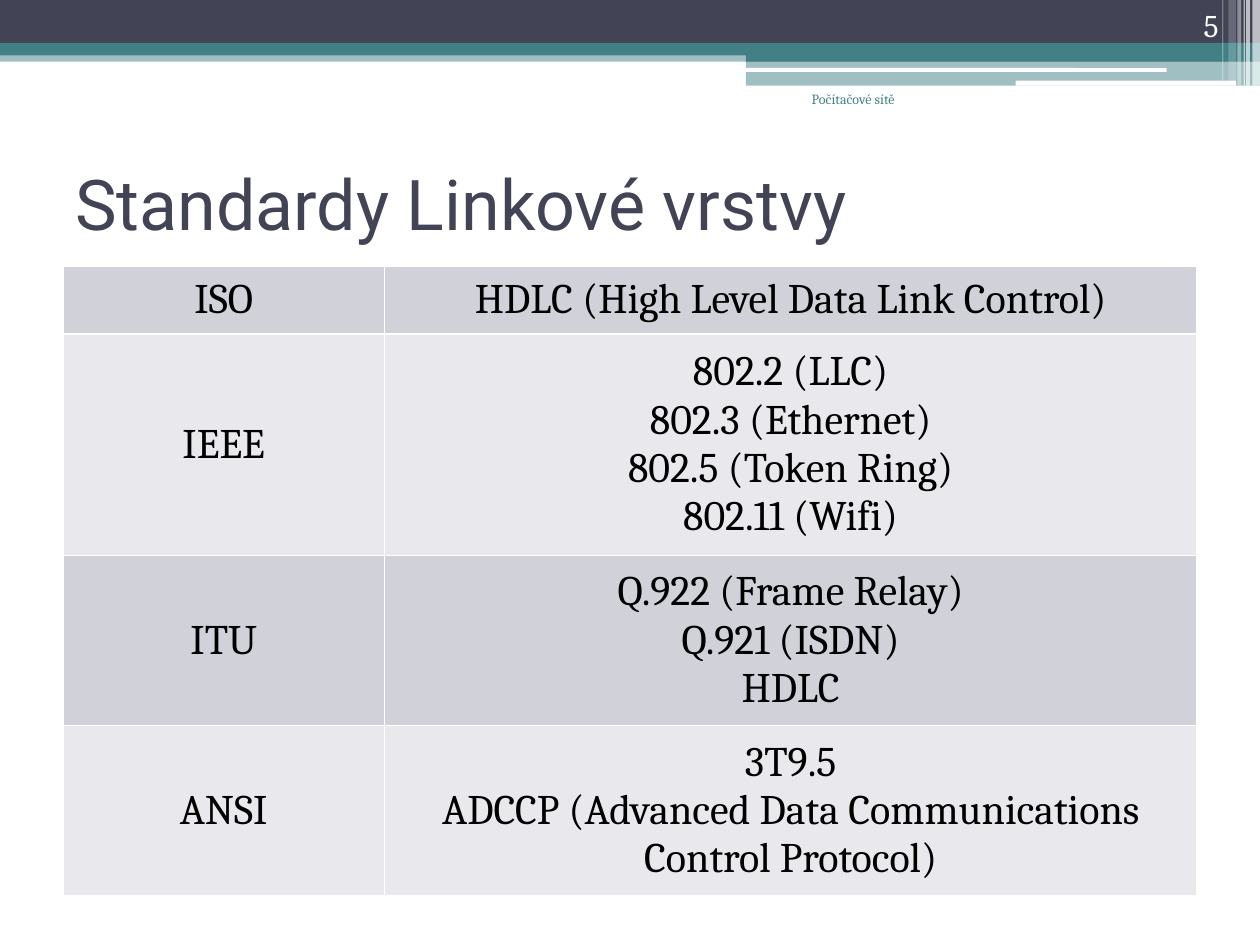
from lxml import etree
from pptx import Presentation
from pptx.dml.color import RGBColor
from pptx.enum.shapes import MSO_SHAPE
from pptx.enum.text import MSO_ANCHOR, PP_ALIGN
from pptx.oxml.ns import qn
from pptx.util import Inches, Pt

RECTANGLE, ROUNDED = MSO_SHAPE.RECTANGLE, MSO_SHAPE.ROUNDED_RECTANGLE
TOP, MIDDLE, BOTTOM = MSO_ANCHOR.TOP, MSO_ANCHOR.MIDDLE, MSO_ANCHOR.BOTTOM
LEFT, CENTER, RIGHT = PP_ALIGN.LEFT, PP_ALIGN.CENTER, PP_ALIGN.RIGHT

COLORS = {
    "navy": "424456",
    "teal": "438086",
    "white": "FFFFFF",
    "black": "000000",
    "dark_band": "D1D1DA",
    "light_band": "E9E9ED",
}

HEADER_BARS = [
    (0, 0.4, 10, 0.09, "teal", 50),
    (0, 0, 10, 0.34, "navy", 100),
    (0, 0.34, 10, 0.1, "teal", 100),
    (5.92, 0.39, 4.08, 0.1, "teal", 100),
    (5.92, 0.48, 4.08, 0.2, "teal", 50),
]
HEADER_LINES = [(5.91, 0.54, 3.35, 0.03), (8.06, 0.64, 1.75, 0.04)]
CORNER_STRIPES = [
    (9.94, 0.06, 0.68, 65),
    (9.89, 0.03, 0.68, 65),
    (9.87, 0.01, 0.68, 60),
    (9.82, 0.03, 0.68, 40),
    (9.75, 0.06, 0.64, 20),
    (9.7, 0.01, 0.64, 30),
]

STANDARDS = [
    ("ISO", ["HDLC (High Level Data Link Control)"]),
    ("IEEE", ["802.2 (LLC)", "802.3 (Ethernet)", "802.5 (Token Ring)", "802.11 (Wifi)"]),
    ("ITU", ["Q.922 (Frame Relay)", "Q.921 (ISDN)", "HDLC"]),
    ("ANSI", ["3T9.5", "ADCCP (Advanced Data Communications Control Protocol)"]),
]
COLUMN_WIDTHS = [2.55, 6.45]
ROW_HEIGHTS = [0.54, 1.76, 1.35, 1.35]


def rgb(color):
    return RGBColor.from_string(COLORS[color])


def add_bar(slide, box, color, opacity=100, kind=RECTANGLE):
    shape = slide.shapes.add_shape(kind, *map(Inches, box))
    shape.shadow.inherit = False
    shape.line.fill.background()
    shape.fill.solid()
    shape.fill.fore_color.rgb = rgb(color)
    if opacity < 100:
        fill_color = shape.fill._xPr.find(qn("a:solidFill"))[0]
        etree.SubElement(fill_color, qn("a:alpha"), val=str(opacity * 1000))


def write_lines(frame, lines, size, color, font="Cambria", align=LEFT):
    for index, line in enumerate(lines):
        paragraph = frame.paragraphs[0] if index == 0 else frame.add_paragraph()
        paragraph.alignment = align
        run = paragraph.add_run()
        run.text = line
        formats = {"name": font, "size": Pt(size)}
        for name, value in formats.items():
            setattr(run.font, name, value)
        run.font.color.rgb = rgb(color)


def add_text(slide, box, text, size, color, anchor, **options):
    frame = slide.shapes.add_textbox(*map(Inches, box)).text_frame
    frame.word_wrap = True
    frame.vertical_anchor = anchor
    write_lines(frame, [text], size, color, **options)


def add_cell_borders(cell, color, width):
    properties = cell._tc.get_or_add_tcPr()
    for position, side in enumerate(("lnL", "lnR", "lnT", "lnB")):
        line = etree.Element(qn(f"a:{side}"), w=str(Pt(width)))
        fill = etree.SubElement(line, qn("a:solidFill"))
        etree.SubElement(fill, qn("a:srgbClr"), val=COLORS[color])
        properties.insert(position, line)


def fill_cell(cell, lines, band):
    cell.fill.solid()
    cell.fill.fore_color.rgb = rgb(band)
    cell.vertical_anchor = MIDDLE
    write_lines(cell.text_frame, lines, 24, "black", align=CENTER)
    add_cell_borders(cell, "white", 1)


def add_standards_table(slide):
    box = (0.5, 2.11, sum(COLUMN_WIDTHS), sum(ROW_HEIGHTS))
    table = slide.shapes.add_table(
        len(STANDARDS), len(COLUMN_WIDTHS), *map(Inches, box)
    ).table
    for column, width in zip(table.columns, COLUMN_WIDTHS):
        column.width = Inches(width)
    for index, (organization, standards) in enumerate(STANDARDS):
        table.rows[index].height = Inches(ROW_HEIGHTS[index])
        band = "light_band" if index % 2 else "dark_band"
        fill_cell(table.cell(index, 0), [organization], band)
        fill_cell(table.cell(index, 1), standards, band)


def add_header(slide):
    for *box, color, opacity in HEADER_BARS:
        add_bar(slide, box, color, opacity)
    for box in HEADER_LINES:
        add_bar(slide, box, "white", kind=ROUNDED)
    for left, width, height, opacity in CORNER_STRIPES:
        add_bar(slide, (left, 0, width, height), "white", opacity)


def main():
    presentation = Presentation()
    presentation.slide_width = Inches(10)
    presentation.slide_height = Inches(7.5)
    slide = presentation.slides.add_slide(presentation.slide_layouts[6])
    add_header(slide)
    add_text(slide, (0.5, 1.02, 9, 1.17), "Standardy Linkové vrstvy", 40, "navy",
             MIDDLE, font="Roboto")
    add_standards_table(slide)
    add_text(slide, (5.75, 0.67, 1.45, 0.5), "Počítačové sítě", 8, "teal",
             TOP, align=RIGHT)
    add_text(slide, (8.94, 0, 0.83, 0.4), "5", 18, "white", BOTTOM, align=RIGHT)
    presentation.save("out.pptx")


if __name__ == "__main__":
    main()
